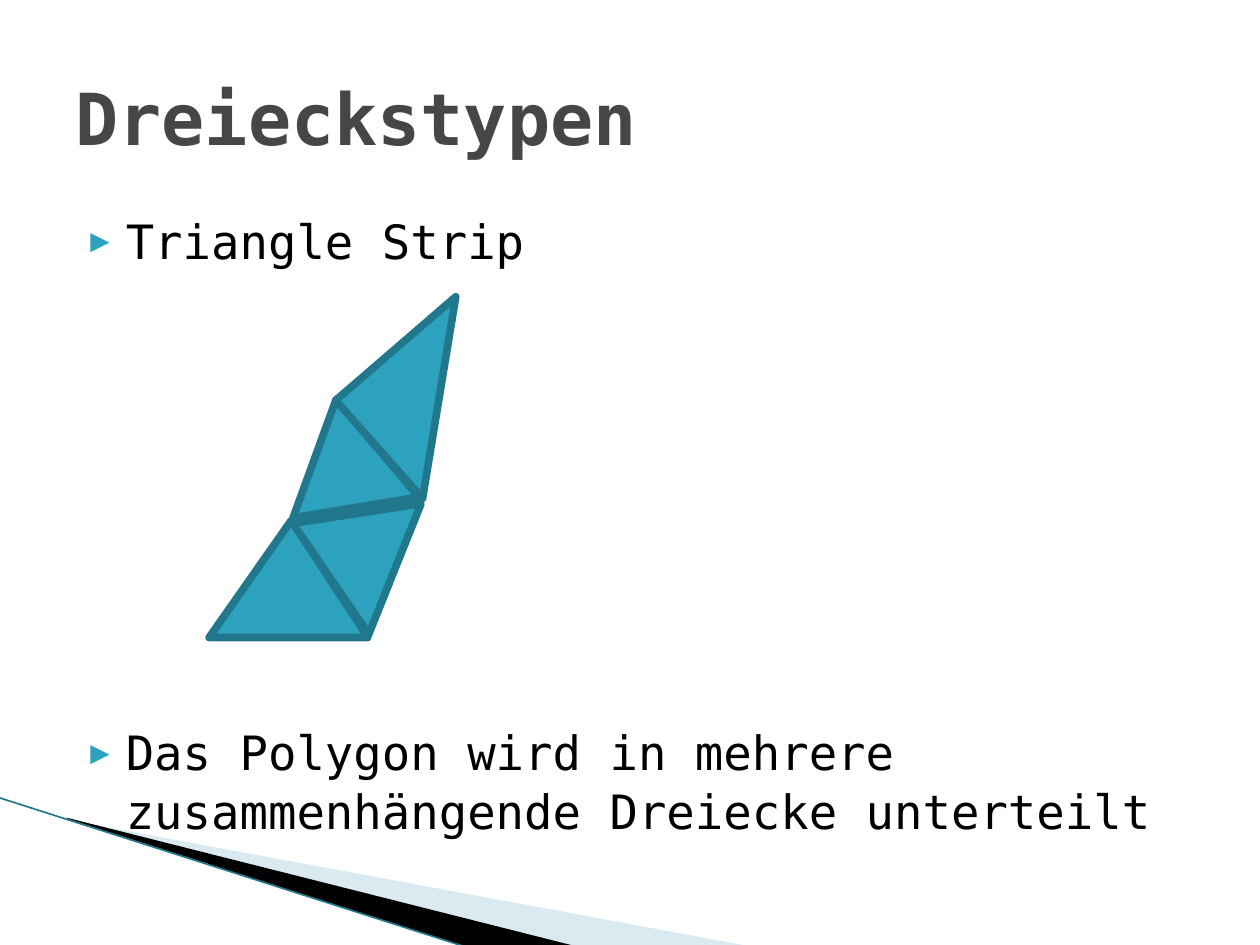
import pptx
import pptx.dml.color
import pptx.enum.shapes
import pptx.enum.text
import pptx.oxml
import pptx.oxml.ns
import pptx.util
from pptx.util import Inches

RGBColor = pptx.dml.color.RGBColor
TEAL = RGBColor(0x2D, 0xA2, 0xBF)
DARK_TEAL = RGBColor(0x21, 0x78, 0x8D)
PALE_BLUE = RGBColor(0xA0, 0xCB, 0xDC)
BLACK = RGBColor(0, 0, 0)
GREY = RGBColor(0x46, 0x46, 0x46)

FONT = "DejaVu Sans Mono"
TITLE_FONT = {"name": FONT, "size": pptx.util.Pt(41), "bold": True}
BODY_FONT = {"name": FONT, "size": pptx.util.Pt(27)}

# left, top, width, height, rotation, apex position
STRIP_TRIANGLES = [
    (1.66, 4.13, 1.26, 0.93, 0, 0.518),
    (2.39, 4.07, 1.03, 0.96, 171.3, 0.55),
    (2.41, 3.35, 1.00, 0.88, 110, 0.505),
    (2.85, 2.64, 1.26, 1.04, 139.2, 0.989),
]


def append_xml(parent, xml):
    element = pptx.oxml.parse_xml(xml.replace("/>", f" {pptx.oxml.ns.nsdecls('a')}/>", 1))
    parent.append(element)


def set_attributes(target, values):
    for name, value in values.items():
        setattr(target, name, value)


def add_text_frame(slide, box, anchor):
    shape = slide.shapes.add_textbox(*map(Inches, box))
    set_attributes(shape.text_frame, {"word_wrap": True, "vertical_anchor": anchor})
    return shape.text_frame


def write_run(paragraph, text, font_values, color):
    run = paragraph.add_run()
    run.text = text
    set_attributes(run.font, font_values)
    run.font.color.rgb = color


def add_bullet(paragraph):
    properties = paragraph._p.get_or_add_pPr()
    properties.set("marL", str(Inches(0.4)))
    properties.set("indent", str(Inches(-0.28)))
    color = pptx.oxml.parse_xml(
        f'<a:buClr {pptx.oxml.ns.nsdecls("a")}><a:srgbClr val="{TEAL}"/></a:buClr>')
    properties.append(color)
    append_xml(properties, '<a:buSzPct val="68000"/>')
    append_xml(properties, f'<a:buFont typeface="{FONT}"/>')
    append_xml(properties, '<a:buChar char="▶"/>')


def add_title(slide, box):
    frame = add_text_frame(slide, box, pptx.enum.text.MSO_ANCHOR.MIDDLE)
    write_run(frame.paragraphs[0], "Dreieckstypen", TITLE_FONT, GREY)


def add_body(slide, box):
    """Two bullets, spaced apart to leave room for the triangle strip."""
    frame = add_text_frame(slide, box, pptx.enum.text.MSO_ANCHOR.TOP)
    bullets = [
        ("Triangle Strip", 4),
        ("Das Polygon wird in mehrere zusammenhängende Dreiecke unterteilt", 259),
    ]
    for index, (text, space) in enumerate(bullets):
        paragraph = frame.add_paragraph() if index else frame.paragraphs[0]
        set_attributes(paragraph, {"space_before": pptx.util.Pt(space), "line_spacing": 1.03})
        add_bullet(paragraph)
        write_run(paragraph, text, BODY_FONT, BLACK)


def add_triangle_strip(slide, left, top):
    group = slide.shapes.add_group_shape()
    origin_left, origin_top = 1.66, 2.64
    for x, y, width, height, rotation, apex in STRIP_TRIANGLES:
        triangle = group.shapes.add_shape(
            pptx.enum.shapes.MSO_SHAPE.ISOSCELES_TRIANGLE,
            Inches(left + x - origin_left), Inches(top + y - origin_top),
            Inches(width), Inches(height))
        triangle.rotation = rotation
        triangle.adjustments[0] = apex
        triangle.shadow.inherit = False
        triangle.fill.solid()
        triangle.fill.fore_color.rgb = TEAL
        triangle.line.color.rgb = DARK_TEAL
        triangle.line.width = pptx.util.Pt(4.33)
        append_xml(triangle.line._get_or_add_ln(), "<a:round/>")


def add_wedge(slide, points, color, opacity=None):
    corners = [(Inches(x), Inches(y)) for x, y in points]
    builder = slide.shapes.build_freeform(*corners[0])
    builder.add_line_segments(corners[1:], close=True)
    wedge = builder.convert_to_shape()
    wedge.shadow.inherit = False
    wedge.line.fill.background()
    wedge.fill.solid()
    wedge.fill.fore_color.rgb = color
    if opacity is not None:
        color_element = wedge._element.spPr.find(".//" + pptx.oxml.ns.qn("a:srgbClr"))
        append_xml(color_element, f'<a:alpha val="{opacity * 1000}"/>')


def add_corner_decoration(slide, left, top):
    """Wedges and edge line sweeping from the left side to the bottom."""
    def shift(points):
        return [(left + x, top + y) for x, y in points]

    add_wedge(slide, shift([(0.55, 0.18), (5.95, 1.18), (4.56, 1.18), (0.55, 0.17)]),
              PALE_BLUE, 40)
    add_wedge(slide, shift([(0.53, 0.16), (4.57, 1.18), (3.72, 1.19), (0.54, 0.17)]), BLACK)
    (x1, y1), (x2, y2) = shift([(-0.01, 0), (3.71, 1.19)])
    edge = slide.shapes.add_connector(
        pptx.enum.shapes.MSO_CONNECTOR.STRAIGHT,
        Inches(x1), Inches(y1), Inches(x2), Inches(y2))
    edge.line.color.rgb = DARK_TEAL
    edge.line.width = pptx.util.Pt(0.95)
    append_xml(edge._element.spPr, "<a:effectLst/>")


def main():
    presentation = pptx.Presentation()
    set_attributes(presentation, {"slide_width": Inches(10), "slide_height": Inches(7.5)})
    slide = presentation.slides.add_slide(presentation.slide_layouts[6])
    add_corner_decoration(slide, 0, 6.33)
    add_body(slide, (0.5, 1.62, 9, 4.95))
    add_title(slide, (0.5, 0.3, 9, 1.25))
    add_triangle_strip(slide, 1.66, 2.64)
    presentation.save("out.pptx")


if __name__ == "__main__":
    main()
